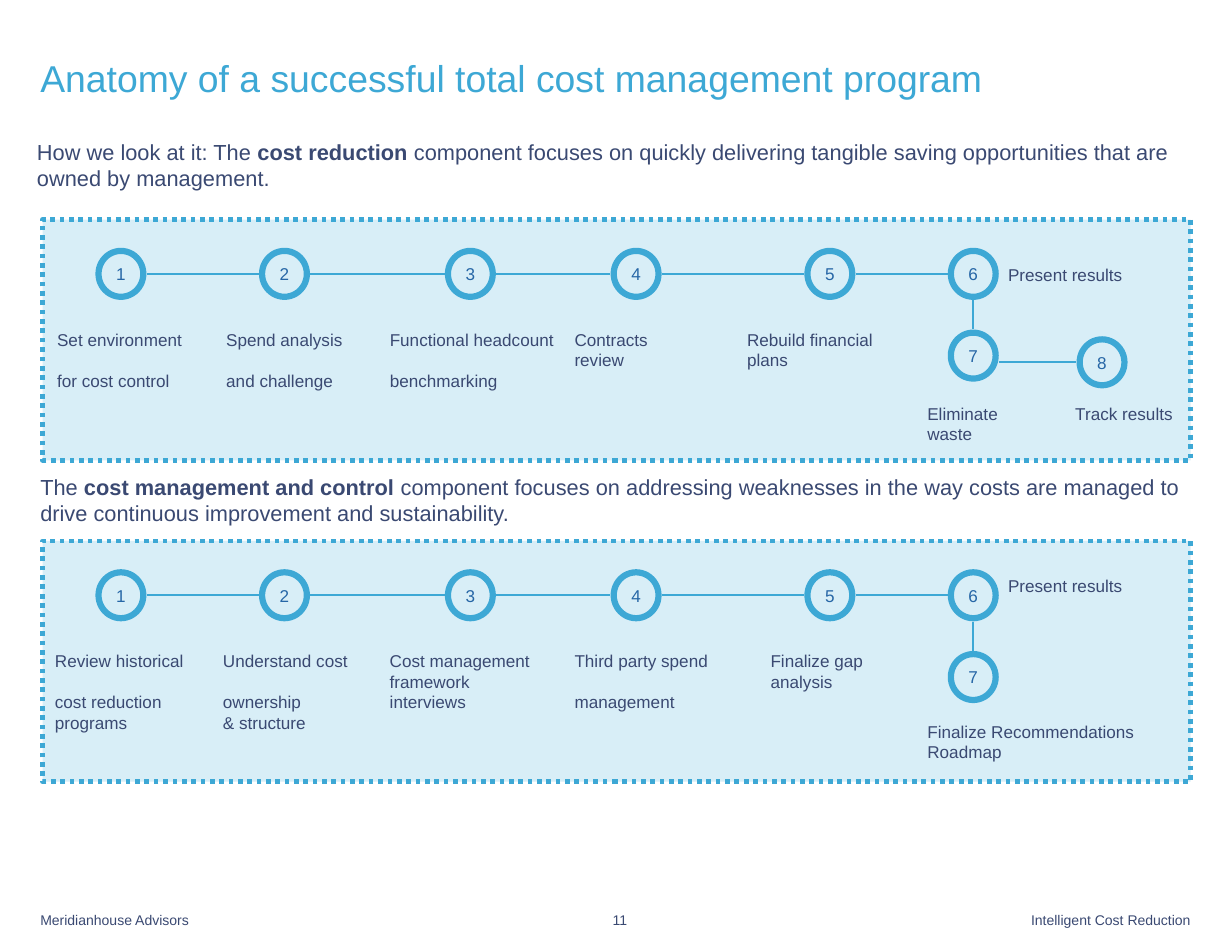
import pptx
import pptx.util
import pptx.dml.color
import pptx.enum.dml
import pptx.enum.shapes
import pptx.enum.text
import pptx.oxml.ns
from lxml import etree

Inches = pptx.util.Inches
Pt = pptx.util.Pt
ALIGN = pptx.enum.text.PP_ALIGN
ANCHOR = pptx.enum.text.MSO_ANCHOR
SHAPE = pptx.enum.shapes.MSO_SHAPE

BLUE, NAVY, NUMBER, PALE = "3DA8D5", "3A4972", "2666A6", "D8EEF7"


def color(value):
    return pptx.dml.color.RGBColor.from_string(value)


def write(frame, text, size=11, fill=NAVY, align=ALIGN.LEFT, anchor=ANCHOR.TOP,
          wrap=True, gap=0):
    """Fill a frame: newline starts a paragraph, \\v breaks a line, ** toggles bold."""
    frame.word_wrap = wrap
    frame.vertical_anchor = anchor
    frame.margin_left = frame.margin_right = frame.margin_top = frame.margin_bottom = 0
    for index, content in enumerate(text.split("\n")):
        para = frame.paragraphs[0] if index == 0 else frame.add_paragraph()
        para.alignment = align
        para.space_before = Pt(gap if index else 0)
        for part, words in enumerate(content.split("**")):
            for row, line in enumerate(words.split("\v")):
                if row:
                    para.add_line_break()
                span = para.add_run()
                span.text = line
                span.font.name = "Arial"
                span.font.size = Pt(size)
                span.font.bold = part % 2 == 1
                span.font.color.rgb = color(fill)


class Builder:
    circle_width, circle_height = 0.4, 0.41
    clearance = 0.03

    def __init__(self, page):
        self.page = page

    def title(self, text, left, top, width, height):
        box = self.page.shapes.title
        box.left, box.top, box.width, box.height = map(Inches, (left, top, width, height))
        write(box.text_frame, text, size=24, fill=BLUE)

    def text(self, text, left, top, width, height, **style):
        box = self.page.shapes.add_textbox(*map(Inches, (left, top, width, height)))
        write(box.text_frame, text, **style)

    def shape(self, kind, left, top, width, height, weight):
        shape = self.page.shapes.add_shape(kind, *map(Inches, (left, top, width, height)))
        shape.shadow.inherit = False
        shape.fill.solid()
        shape.fill.fore_color.rgb = color(PALE)
        shape.line.color.rgb = color(BLUE)
        shape.line.width = Pt(weight)
        return shape

    def panel(self, left, top, width, height):
        panel = self.shape(SHAPE.RECTANGLE, left, top, width, height, 3)
        panel.line.dash_style = pptx.enum.dml.MSO_LINE.ROUND_DOT

    def circle(self, number, left, top):
        circle = self.shape(SHAPE.OVAL, left, top, self.circle_width, self.circle_height, 4)
        write(circle.text_frame, str(number), fill=NUMBER, align=ALIGN.CENTER,
              anchor=ANCHOR.MIDDLE, wrap=False)

    def line(self, x1, y1, x2, y2):
        line = self.page.shapes.add_connector(
            pptx.enum.shapes.MSO_CONNECTOR.STRAIGHT, *map(Inches, (x1, y1, x2, y2)))
        line.line.color.rgb = color(BLUE)
        line.line.width = Pt(1.5)
        etree.SubElement(line._element.spPr, pptx.oxml.ns.qn("a:effectLst"))

    def link_across(self, left, right, y):
        self.line(left + self.circle_width + self.clearance, y, right - self.clearance, y)

    def link_down(self, left, top, bottom):
        x = left + self.circle_width / 2
        self.line(x, top + self.circle_height + self.clearance, x, bottom - self.clearance)


# Positions shared by both panels; vertical ones count from the panel's top
STEP_LEFTS = [0.88, 2.34, 4.0, 5.48, 7.21, 8.49]
STEP_DROP, LABEL_DROP, SEVENTH_DROP, EIGHTH_DROP = 0.28, 0.98, 1.01, 1.07
EIGHTH_LEFT = 9.64

# Each label: text, left, drop, width, height
REDUCTION = [
    ("Set environment\nfor cost control", 0.51, LABEL_DROP, 1.15, 0.55),
    ("Spend analysis\nand challenge", 2.02, LABEL_DROP, 1.1, 0.55),
    ("Functional headcount\nbenchmarking", 3.48, LABEL_DROP, 1.52, 0.55),
    ("Contracts review", 5.13, LABEL_DROP, 1.0, 0.37),
    ("Rebuild financial plans", 6.67, LABEL_DROP, 1.3, 0.37),
    ("Present results", 9.0, 0.4, 1.25, 0.18),
    ("Eliminate waste", 8.28, 1.64, 0.9, 0.37),
    ("Track results", 9.6, 1.64, 0.92, 0.18),
]
CONTROL = [
    ("Review historical\ncost reduction programs", 0.49, LABEL_DROP, 1.19, 0.73),
    ("Understand cost\nownership\v& structure", 1.99, LABEL_DROP, 1.15, 0.73),
    ("Cost management\vframework\vinterviews", 3.48, LABEL_DROP, 1.43, 0.55),
    ("Third party spend\nmanagement", 5.13, LABEL_DROP, 1.23, 0.55),
    ("Finalize gap analysis", 6.88, LABEL_DROP, 1.05, 0.37),
    ("Present results", 9.0, 0.31, 1.25, 0.18),
    ("Finalize Recommendations Roadmap", 8.28, 1.61, 2.12, 0.37),
]


def draw_process(builder, top, labels):
    builder.panel(0.38, top, 10.25, 2.15)
    step_top = top + STEP_DROP
    middle = step_top + builder.circle_height / 2

    # Numbered row, then the turn down to step 7
    for left, right in zip(STEP_LEFTS, STEP_LEFTS[1:]):
        builder.link_across(left, right, middle)
    for number, left in enumerate(STEP_LEFTS, 1):
        builder.circle(number, left, step_top)
    builder.link_down(STEP_LEFTS[-1], step_top, top + SEVENTH_DROP)
    builder.circle(7, STEP_LEFTS[-1], top + SEVENTH_DROP)

    # Step 8 only where there is a label for it
    if len(labels) == 8:
        eighth_top = top + EIGHTH_DROP
        builder.link_across(STEP_LEFTS[-1], EIGHTH_LEFT,
                            eighth_top + builder.circle_height / 2)
        builder.circle(8, EIGHTH_LEFT, eighth_top)

    for text, left, drop, width, height in labels:
        builder.text(text, left, top + drop, width, height, gap=13)


def main():
    deck = pptx.Presentation()
    deck.slide_width, deck.slide_height = Inches(11), Inches(8.5)
    builder = Builder(deck.slides.add_slide(deck.slide_layouts[5]))

    # Title and introductions
    builder.title("Anatomy of a successful total cost management program",
                  0.36, 0.49, 10.28, 0.4)
    builder.text("How we look at it: The **cost reduction** component focuses on quickly "
                 "delivering tangible saving opportunities that are owned by management.",
                 0.33, 1.24, 10.27, 0.66, size=14)
    builder.text("The **cost management and control** component focuses on addressing "
                 "weaknesses in the way costs are managed to drive continuous improvement "
                 "and sustainability.", 0.36, 4.23, 10.27, 0.66, size=14)

    # Process panels
    draw_process(builder, 1.96, REDUCTION)
    draw_process(builder, 4.83, CONTROL)

    # Footer
    footer = {"size": 9, "anchor": ANCHOR.BOTTOM}
    builder.text("Meridianhouse Advisors", 0.36, 8.09, 2.6, 0.2, **footer)
    builder.text("11", 5.45, 8.14, 0.15, 0.15, align=ALIGN.RIGHT, wrap=False, **footer)
    builder.text("Intelligent Cost Reduction", 8.03, 8.09, 2.6, 0.2,
                 align=ALIGN.RIGHT, **footer)

    deck.save("out.pptx")


if __name__ == "__main__":
    main()
